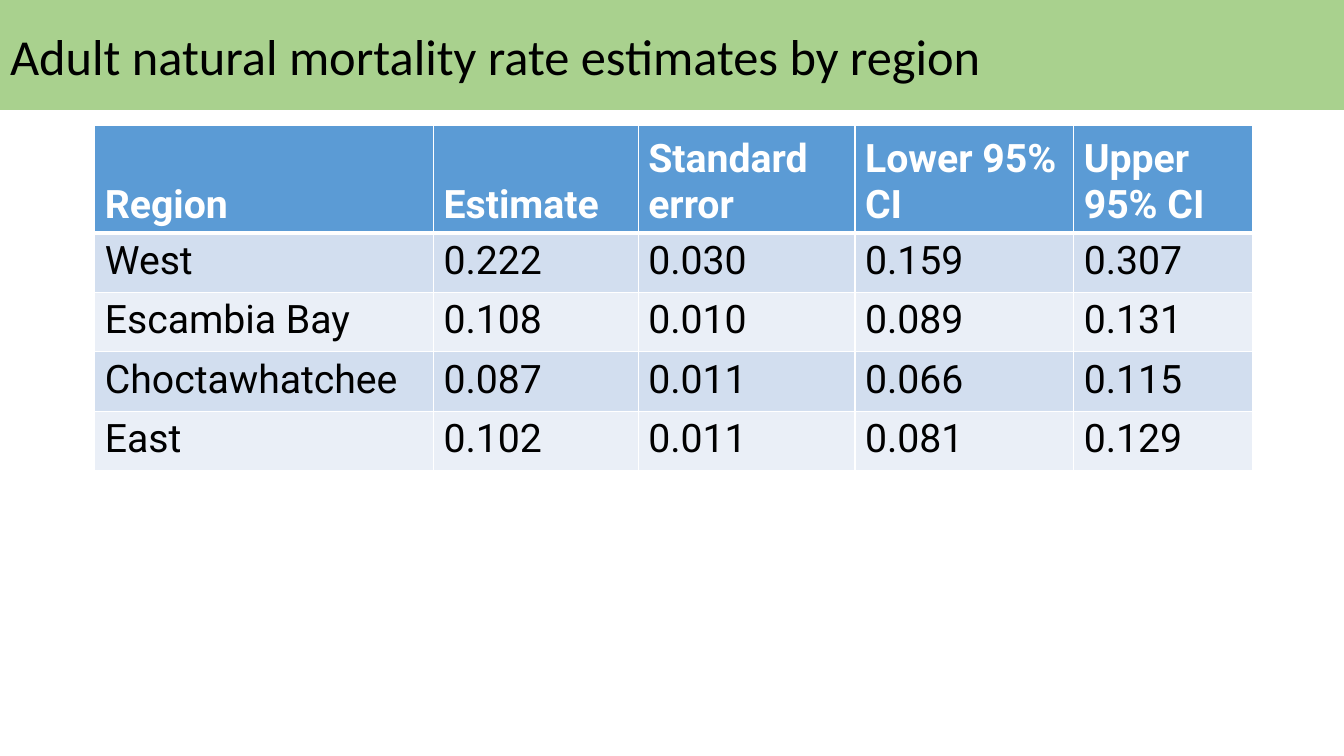
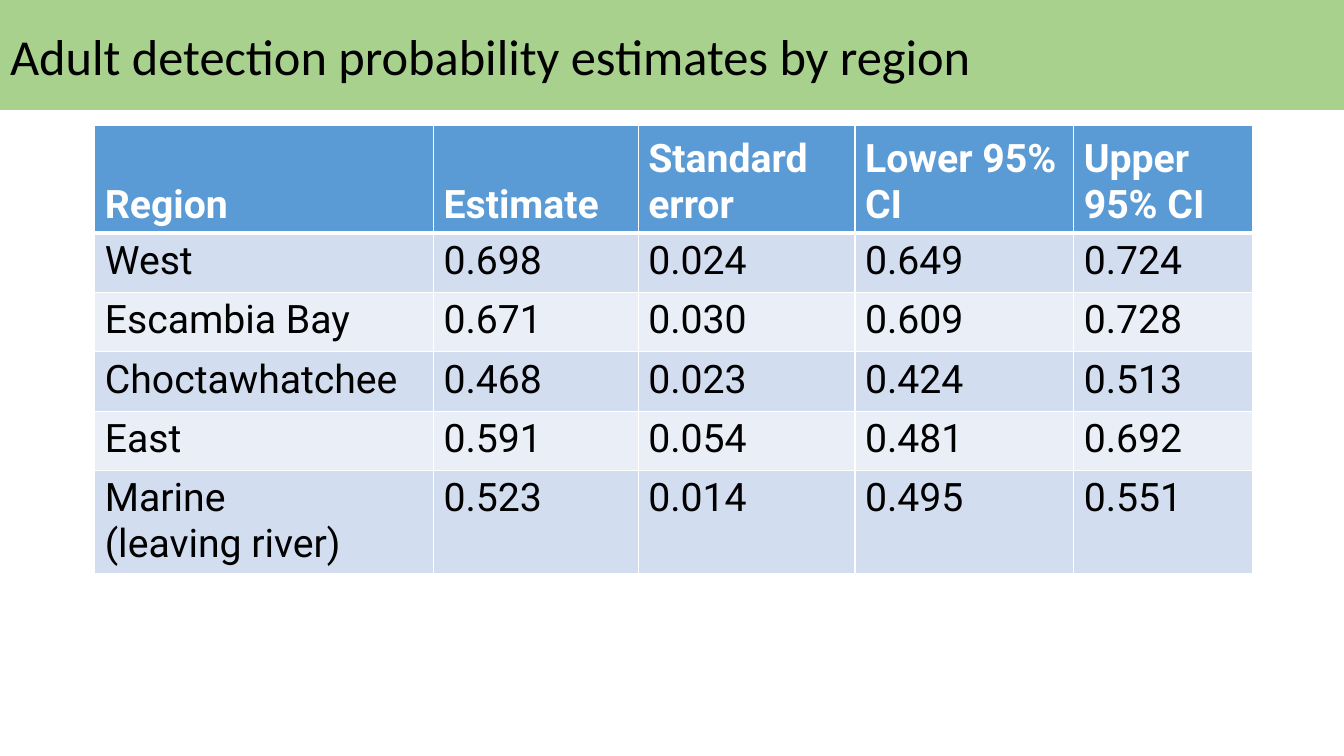
from lxml import etree
from pptx import Presentation, util as u
from pptx.dml.color import RGBColor
from pptx.enum import text
from pptx.oxml.ns import qn

PX = 9144
WIDTH, HEIGHT = 1333, 750
BAND_HEIGHT = 109
TABLE_LEFT, TABLE_TOP = 94, 124
COLUMN_WIDTHS = [336, 203, 215, 217, 177]
HEADER_HEIGHT, ROW_HEIGHT, TALL_ROW_HEIGHT = 107, 59, 102

GREEN, BLUE = "A9D18E", "5B9BD5"
STRIPES = ["EAEFF7", "D2DEEF"]
WHITE, BLACK = "FFFFFF", "000000"

HEADER = ["Region", "Estimate", "Standard error", "Lower 95% CI", "Upper 95% CI"]
SLIDES = [
    ("Adult natural mortality rate estimates by region", [
        ["West", "0.222", "0.030", "0.159", "0.307"],
        ["Escambia Bay", "0.108", "0.010", "0.089", "0.131"],
        ["Choctawhatchee", "0.087", "0.011", "0.066", "0.115"],
        ["East", "0.102", "0.011", "0.081", "0.129"],
    ]),
    ("Adult detection probability estimates by region", [
        ["West", "0.698", "0.024", "0.649", "0.724"],
        ["Escambia Bay", "0.671", "0.030", "0.609", "0.728"],
        ["Choctawhatchee", "0.468", "0.023", "0.424", "0.513"],
        ["East", "0.591", "0.054", "0.481", "0.692"],
        ["Marine\n(leaving river)", "0.523", "0.014", "0.495", "0.551"],
    ]),
]


def color(value):
    return RGBColor.from_string(value)


def add_border(cell, side, points):
    properties = cell._tc.get_or_add_tcPr()
    line = etree.SubElement(properties, qn(f"a:ln{side}"), w=str(u.Pt(points)))
    fill = etree.SubElement(line, qn("a:solidFill"))
    etree.SubElement(fill, qn("a:srgbClr"), val=WHITE)


deck = Presentation()
deck.slide_width, deck.slide_height = WIDTH * PX, HEIGHT * PX
title_only = deck.slide_layouts.get_by_name("Title Only")

for heading, records in SLIDES:
    page = deck.slides.add_slide(title_only)

    title = page.shapes.title
    title.left, title.top = 0, 0
    title.width, title.height = WIDTH * PX, BAND_HEIGHT * PX
    title.fill.solid()
    title.fill.fore_color.rgb = color(GREEN)
    frame = title.text_frame
    frame.text = heading
    frame.word_wrap = True
    frame.auto_size = text.MSO_AUTO_SIZE.NONE
    frame.vertical_anchor = text.MSO_ANCHOR.MIDDLE
    para = frame.paragraphs[0]
    para.alignment = text.PP_ALIGN.LEFT
    span = para.runs[0]
    span.font.name, span.font.size = "Calibri", u.Pt(36)
    span.font.color.rgb = color(BLACK)

    rows = [HEADER] + records
    heights = [HEADER_HEIGHT] + [
        TALL_ROW_HEIGHT if "\n" in record[0] else ROW_HEIGHT for record in records
    ]
    table = page.shapes.add_table(
        len(rows), len(HEADER), TABLE_LEFT * PX, TABLE_TOP * PX,
        sum(COLUMN_WIDTHS) * PX, sum(heights) * PX,
    ).table
    for column, width in zip(table.columns, COLUMN_WIDTHS):
        column.width = width * PX

    for row_index, values in enumerate(rows):
        is_header = row_index == 0
        table.rows[row_index].height = heights[row_index] * PX
        for column_index, value in enumerate(values):
            cell = table.cell(row_index, column_index)
            cell.text = value
            cell.vertical_anchor = text.MSO_ANCHOR.BOTTOM if is_header else text.MSO_ANCHOR.TOP
            add_border(cell, "L", 1)
            add_border(cell, "R", 1)
            add_border(cell, "T", 3 if row_index == 1 else 1)
            add_border(cell, "B", 3 if is_header else 1)
            cell.fill.solid()
            cell.fill.fore_color.rgb = color(BLUE if is_header else STRIPES[row_index % 2])
            for para in cell.text_frame.paragraphs:
                span = para.runs[0]
                span.font.name, span.font.size = "Roboto", u.Pt(28)
                span.font.bold = is_header
                span.font.color.rgb = color(WHITE if is_header else BLACK)

deck.save("out.pptx")
